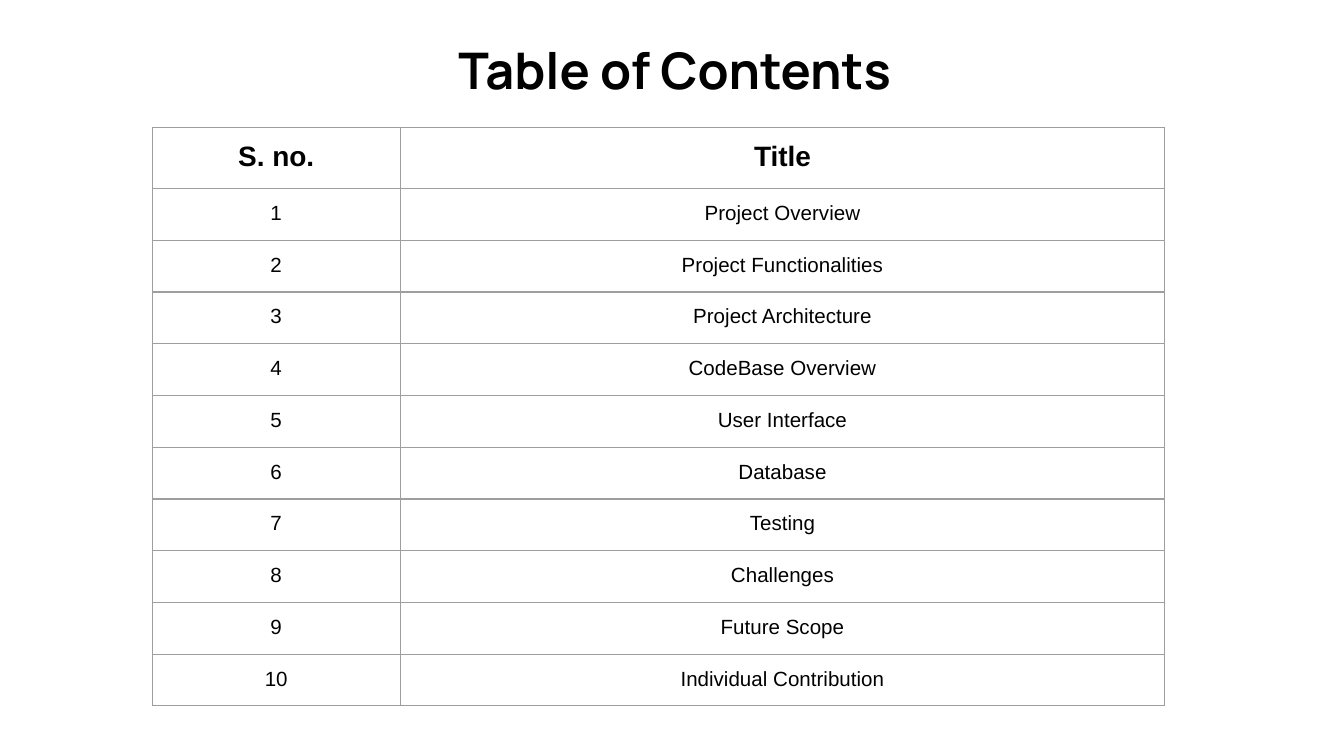
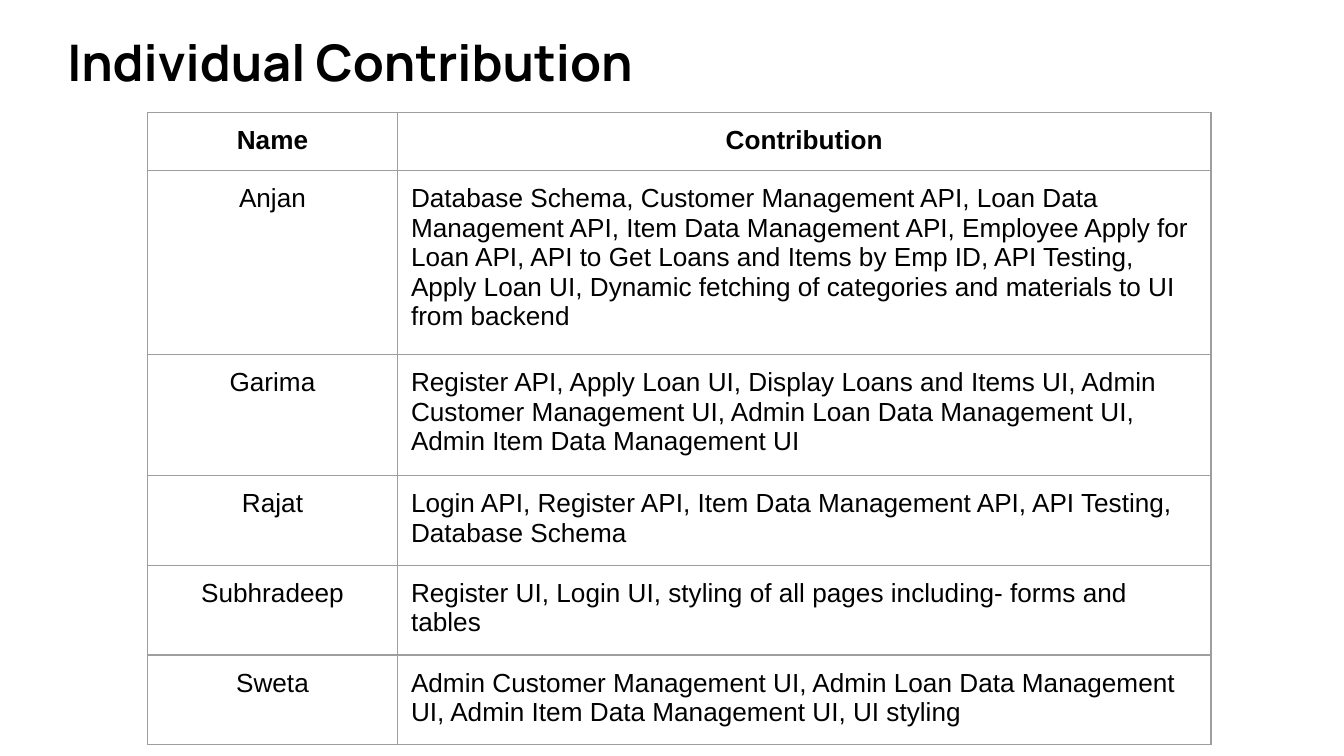
from lxml import etree
from pptx import Presentation
from pptx.dml.color import RGBColor
from pptx.enum.text import PP_ALIGN
from pptx.oxml.ns import qn
from pptx.util import Pt

LEFT, CENTER = PP_ALIGN.LEFT, PP_ALIGN.CENTER
BLACK = RGBColor(0x00, 0x00, 0x00)
WHITE = RGBColor(0xFF, 0xFF, 0xFF)
GRAY = RGBColor(0x9E, 0x9E, 0x9E)
TITLE_FONT, BODY_FONT = "Manrope", "Arial"
TITLE_SIZE = 27
INSET = Pt(7.2)
BORDER_WIDTH = Pt(0.75)

TOPICS = [
    "Project Overview", "Project Functionalities", "Project Architecture",
    "CodeBase Overview", "User Interface", "Database", "Testing",
    "Challenges", "Future Scope", "Individual Contribution",
]
CONTRIBUTIONS = [
    ("Anjan", "Database Schema, Customer Management API, Loan Data Management API, "
              "Item Data Management API, Employee Apply for Loan API, API to Get Loans "
              "and Items by Emp ID, API Testing, Apply Loan UI, Dynamic fetching of "
              "categories and materials to UI from backend"),
    ("Garima", "Register API, Apply Loan UI, Display Loans and Items UI, Admin Customer "
               "Management UI, Admin Loan Data Management UI, Admin Item Data Management UI"),
    ("Rajat", "Login API, Register API, Item Data Management API, API Testing, "
              "Database Schema"),
    ("Subhradeep", "Register UI, Login UI, styling of all pages including- forms and tables"),
    ("Sweta", "Admin Customer Management UI, Admin Loan Data Management UI, "
              "Admin Item Data Management UI, UI styling"),
]


class Deck:
    """Holds the shared style and the slide being built."""

    def __init__(self):
        self.presentation = Presentation()
        self.presentation.slide_width = Pt(720)
        self.presentation.slide_height = Pt(405)
        self.slide = None

    def add_slide(self):
        self.slide = self.presentation.slides.add_slide(self.presentation.slide_layouts[6])
        fill = self.slide.background.fill
        fill.solid()
        fill.fore_color.rgb = WHITE

    def set_insets(self, target):
        target.margin_left = target.margin_right = INSET
        target.margin_top = target.margin_bottom = INSET

    def set_text(self, text_frame, text, font_name, size, bold, align):
        text_frame.text = text
        paragraph = text_frame.paragraphs[0]
        paragraph.alignment = align
        font = paragraph.runs[0].font
        font.name, font.size, font.bold = font_name, Pt(size), bold
        font.color.rgb = BLACK

    def add_title(self, text, left, top, width):
        shape = self.slide.shapes.add_textbox(Pt(left), Pt(top), Pt(width), Pt(49))
        shape.text_frame.word_wrap = True
        self.set_insets(shape.text_frame)
        self.set_text(shape.text_frame, text, TITLE_FONT, TITLE_SIZE, True, LEFT)

    def add_borders(self, cell):
        properties = cell._tc.get_or_add_tcPr()
        for side in ("a:lnL", "a:lnR", "a:lnT", "a:lnB"):
            line = etree.SubElement(properties, qn(side), w=str(BORDER_WIDTH))
            fill = etree.SubElement(line, qn("a:solidFill"))
            etree.SubElement(fill, qn("a:srgbClr"), val=str(GRAY))

    def add_table(self, rows, left, top, column_widths, row_height,
                  header_size, body_size, last_align):
        """Draw rows with a bold centred header; last_align sets the last body column."""
        shape = self.slide.shapes.add_table(
            len(rows), len(column_widths), Pt(left), Pt(top),
            Pt(sum(column_widths)), Pt(row_height * len(rows)))
        table = shape.table
        table.first_row = table.horz_banding = False
        for column, width in zip(table.columns, column_widths):
            column.width = Pt(width)
        for row_index, values in enumerate(rows):
            table.rows[row_index].height = Pt(row_height)
            is_header = row_index == 0
            size = header_size if is_header else body_size
            aligns = (CENTER, CENTER if is_header else last_align)
            for column_index, (text, align) in enumerate(zip(values, aligns)):
                cell = table.cell(row_index, column_index)
                self.set_insets(cell)
                self.add_borders(cell)
                cell.fill.background()
                self.set_text(cell.text_frame, text, BODY_FONT, size, is_header, align)


def main():
    deck = Deck()

    deck.add_slide()
    deck.add_title("Table of Contents", 238.5, 13.75, 247)
    numbered_topics = [(str(number), topic) for number, topic in enumerate(TOPICS, 1)]
    deck.add_table([("S. no.", "Title")] + numbered_topics, 81.5, 68.5,
                   (133, 409.5), 27.75, 15, 11, CENTER)

    deck.add_slide()
    deck.add_title("Individual Contribution", 29, 9.25, 671)
    deck.add_table([("Name", "Contribution")] + CONTRIBUTIONS, 79, 60.25,
                   (134, 435.75), 30.25, 14, 14, LEFT)

    deck.presentation.save("out.pptx")


if __name__ == "__main__":
    main()
